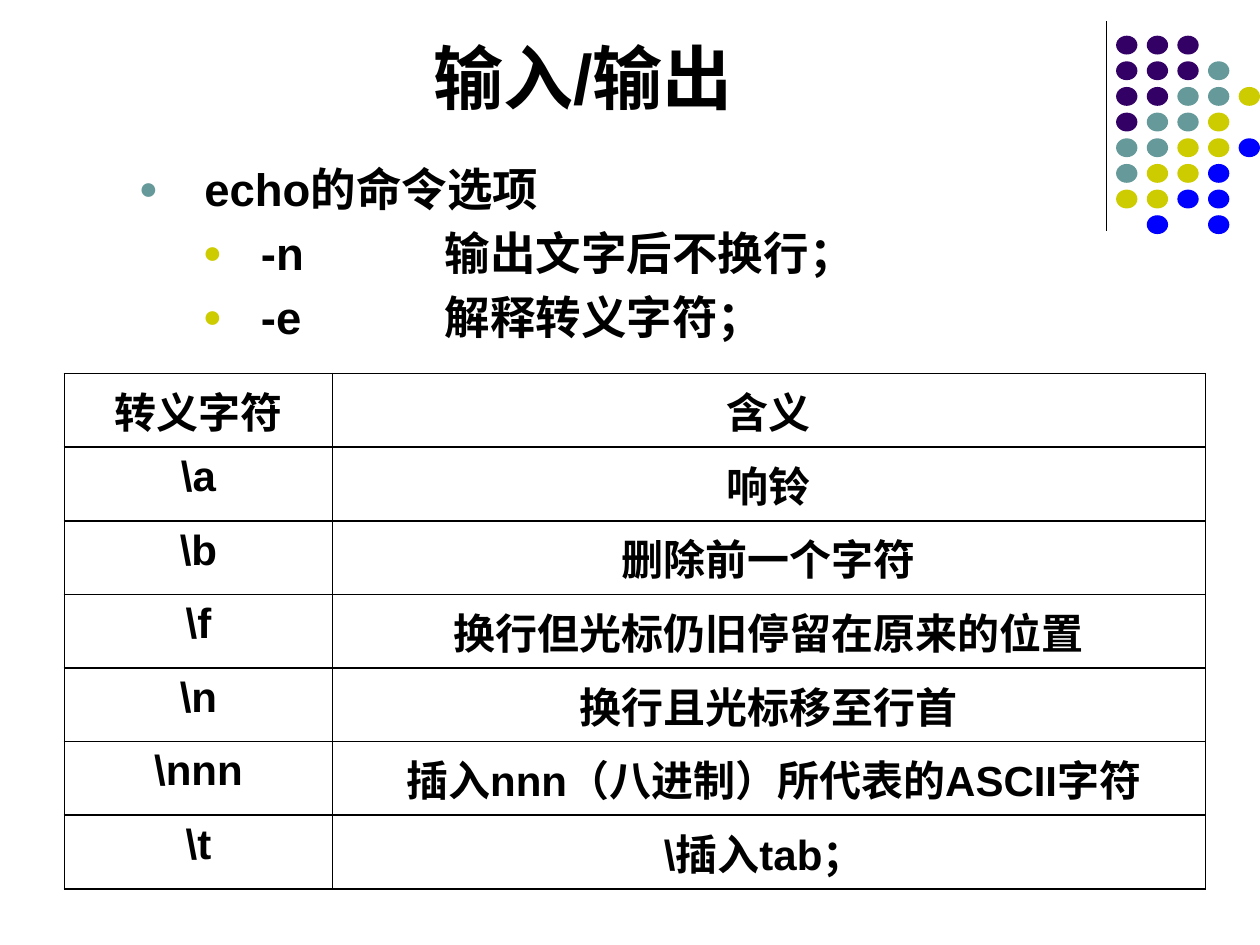
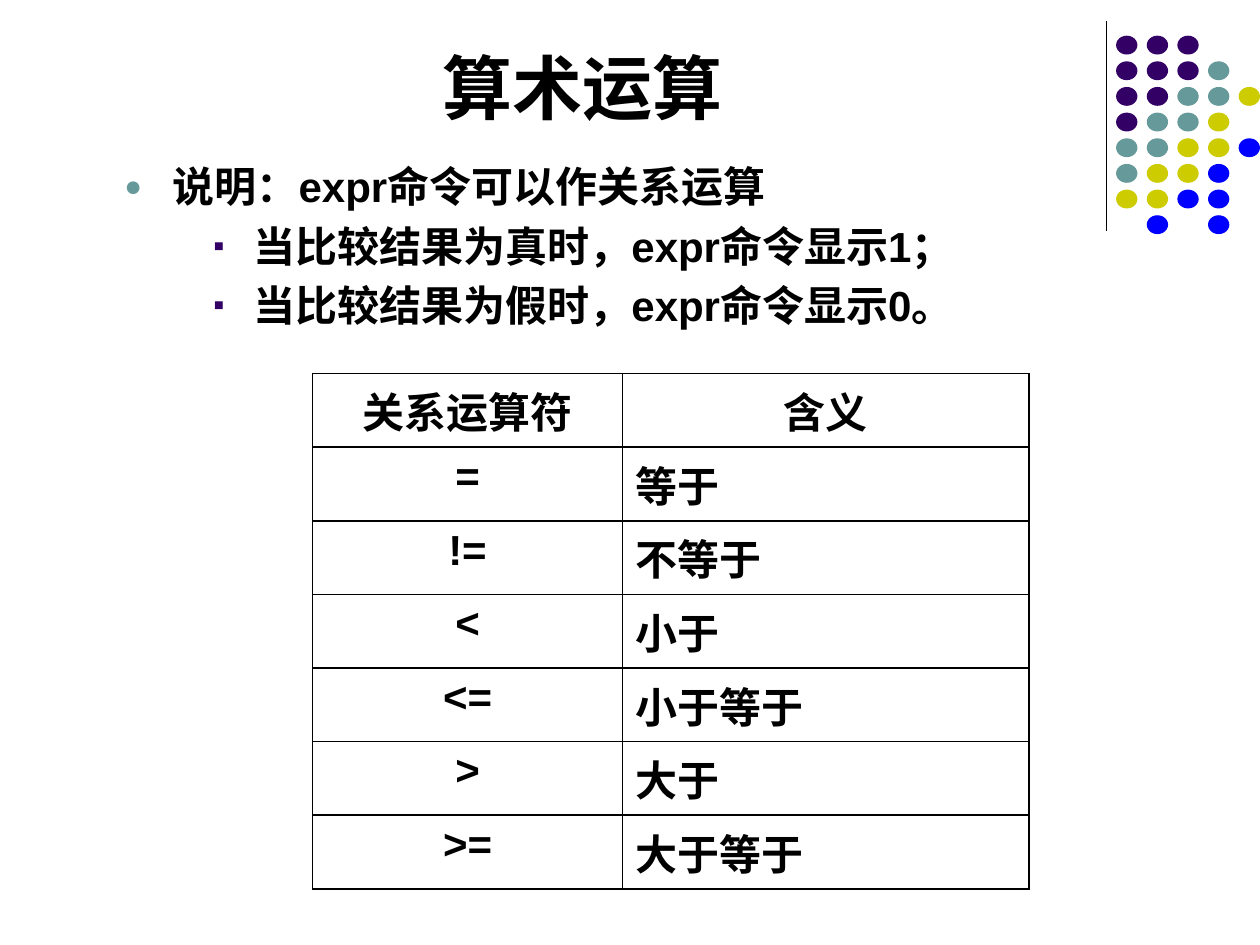
from dataclasses import dataclass
from typing import NamedTuple

from lxml.etree import SubElement
from pptx import Presentation
from pptx.dml.color import RGBColor
from pptx.enum.shapes import MSO_CONNECTOR, MSO_SHAPE
from pptx.enum.text import MSO_ANCHOR, MSO_AUTO_SIZE, PP_ALIGN
from pptx.oxml import parse_xml
from pptx.oxml.ns import nsdecls, qn
from pptx.util import Cm, Pt


@dataclass(frozen=True)
class Theme:
    font: str = "Arial"
    ink: str = "000000"
    purple: str = "330066"
    teal: str = "669999"
    olive: str = "CCCC00"
    blue: str = "0000FF"
    title_size: int = 40
    table_size: int = 24
    space_before: float = 0.21  # share of the type size
    rule_width: float = 0.75
    border_width: float = 1


THEME = Theme()


class Box(NamedTuple):
    """Left, top, width and height in centimetres."""
    left: float
    top: float
    width: float
    height: float

    def lengths(self):
        return [Cm(value) for value in self]


class Level(NamedTuple):
    """Bullet style; margin and hanging indent in centimetres."""
    bullet: str
    color: str
    percent: int
    margin: float
    hanging: float


DOT_COLORS = {"p": THEME.purple, "t": THEME.teal,
              "o": THEME.olive, "b": THEME.blue}
DOT_ROWS = ["ppp", "pppt", "pptto", "ptto", "ttoob", "toob", "oobb", " b b"]
DOT_BOX = Box(22.5, 0.72, 2.9, 4)
DOT_WIDTH, DOT_HEIGHT = 0.43, 0.38
RULE_BOX = Box(22.3, 0.43, 0, 4.22)


def style_text(paragraph, size):
    font = paragraph.font
    font.name, font.size, font.bold = THEME.font, Pt(size), True
    font.color.rgb = RGBColor.from_string(THEME.ink)


def add_dots(slide, box):
    """Staggered grid of coloured dots in the corner."""
    dots = slide.shapes.add_group_shape().shapes
    step_x = (box.width - DOT_WIDTH) / (max(map(len, DOT_ROWS)) - 1)
    step_y = (box.height - DOT_HEIGHT) / (len(DOT_ROWS) - 1)
    for row, keys in enumerate(DOT_ROWS):
        for column, key in enumerate(keys):
            if key == " ":
                continue
            place = Box(box.left + column * step_x, box.top + row * step_y,
                        DOT_WIDTH, DOT_HEIGHT)
            dot = dots.add_shape(MSO_SHAPE.OVAL, *place.lengths())
            dot.shadow.inherit = False
            dot.fill.solid()
            dot.fill.fore_color.rgb = RGBColor.from_string(DOT_COLORS[key])
            dot.line.fill.background()


def add_rule(slide, box):
    """Vertical line beside the dots."""
    left, top, width, height = box.lengths()
    rule = slide.shapes.add_connector(
        MSO_CONNECTOR.STRAIGHT, left, top, left + width, top + height)
    rule.line.color.rgb = RGBColor.from_string(THEME.ink)
    rule.line.width = Pt(THEME.rule_width)
    SubElement(rule._element.spPr, qn("a:effectLst"))


def place_title(slide, box, wording):
    title = slide.shapes.title
    title.left, title.top, title.width, title.height = box.lengths()
    frame = title.text_frame
    frame.text = wording
    frame.auto_size = MSO_AUTO_SIZE.NONE
    frame.vertical_anchor = MSO_ANCHOR.BOTTOM
    heading = frame.paragraphs[0]
    heading.alignment = PP_ALIGN.CENTER
    style_text(heading, THEME.title_size)


def set_bullet(paragraph, level):
    props = paragraph._p.get_or_add_pPr()
    props.set("marL", str(Cm(level.margin)))
    props.set("indent", str(-Cm(level.hanging)))
    props.set("defTabSz", str(Cm(2.54)))
    color = SubElement(props, qn("a:buClr"))
    SubElement(color, qn("a:srgbClr"), val=level.color)
    SubElement(props, qn("a:buSzPct"), val=str(level.percent * 1000))
    SubElement(props, qn("a:buFont"), typeface=THEME.font)
    SubElement(props, qn("a:buChar"), char=level.bullet)


def add_points(slide, box, points, size):
    """Bulleted text; points are (level, wording) pairs."""
    frame = slide.shapes.add_textbox(*box.lengths()).text_frame
    frame.word_wrap = True
    for index, (level, wording) in enumerate(points):
        point = frame.add_paragraph() if index else frame.paragraphs[0]
        point.add_run().text = wording
        point.space_before = Pt(THEME.space_before * size if index else 0)
        set_bullet(point, level)
        style_text(point, size)


def set_borders(cell):
    props = cell._tc.get_or_add_tcPr()
    for index, side in enumerate(("lnL", "lnR", "lnT", "lnB")):
        props.insert(index, parse_xml(
            f'<a:{side} {nsdecls("a")} w="{Pt(THEME.border_width)}">'
            f'<a:solidFill><a:srgbClr val="{THEME.ink}"/></a:solidFill>'
            f'</a:{side}>'))


def add_glossary(slide, box, first_width, rows, meaning_align):
    """Two-column table of symbols and meanings under a header row."""
    table = slide.shapes.add_table(len(rows), 2, *box.lengths()).table
    table.first_row = table.horz_banding = False
    table.columns[0].width = Cm(first_width)
    table.columns[1].width = Cm(box.width - first_width)
    for r, row in enumerate(rows):
        table.rows[r].height = Cm(box.height / len(rows))
        for c, wording in enumerate(row):
            cell = table.cell(r, c)
            cell.text = wording
            cell.fill.background()
            set_borders(cell)
            entry = cell.text_frame.paragraphs[0]
            is_meaning = r > 0 and c == 1
            entry.alignment = meaning_align if is_meaning else PP_ALIGN.CENTER
            style_text(entry, THEME.table_size)


def start_slide(deck, title_box, wording):
    slide = deck.slides.add_slide(deck.slide_layouts[5])
    add_dots(slide, DOT_BOX)
    add_rule(slide, RULE_BOX)
    place_title(slide, title_box, wording)
    return slide


def build_echo_slide(deck):
    slide = start_slide(deck, Box(1.27, 0.13, 20.96, 2.39), "输入/输出")
    topic = Level("●", THEME.teal, 70, 2.77, 1.32)
    option = Level("●", THEME.olive, 70, 3.91, 1.17)
    add_points(slide, Box(1.1, 3.12, 22.86, 4.19), [
        (topic, "echo的命令选项"),
        (option, "-n\t\t输出文字后不换行；"),
        (option, "-e\t\t解释转义字符； "),
    ], size=26)
    add_glossary(slide, Box(1.3, 7.53, 23, 10.39), 5.4, [
        ("转义字符", "含义"),
        ("\\a", "响铃"),
        ("\\b", "删除前一个字符"),
        ("\\f", "换行但光标仍旧停留在原来的位置"),
        ("\\n", "换行且光标移至行首"),
        ("\\nnn", " 插入nnn（八进制）所代表的ASCII字符"),
        ("\\t", "\\插入tab； "),
    ], PP_ALIGN.CENTER)


def build_arithmetic_slide(deck):
    slide = start_slide(deck, Box(1.27, 0.33, 20.96, 2.39), "算术运算")
    topic = Level("●", THEME.teal, 70, 1.93, 0.97)
    result = Level("▪", THEME.purple, 75, 3.56, 0.81)
    add_points(slide, Box(1.3, 3.12, 22.86, 12.24), [
        (topic, "说明：expr命令可以作关系运算"),
        (result, "当比较结果为真时，expr命令显示1；"),
        (result, "当比较结果为假时，expr命令显示0。"),
    ], size=24)
    add_glossary(slide, Box(6.3, 7.53, 14.44, 10.39), 6.25, [
        ("关系运算符", "含义"),
        ("=", "等于"),
        ("!=", "不等于"),
        ("<", "小于"),
        ("<=", "小于等于"),
        (">", "大于"),
        (">=", "大于等于"),
    ], PP_ALIGN.LEFT)


deck = Presentation()
deck.slide_width, deck.slide_height = Cm(25.4), Cm(19.05)
build_echo_slide(deck)
build_arithmetic_slide(deck)
deck.save("out.pptx")
